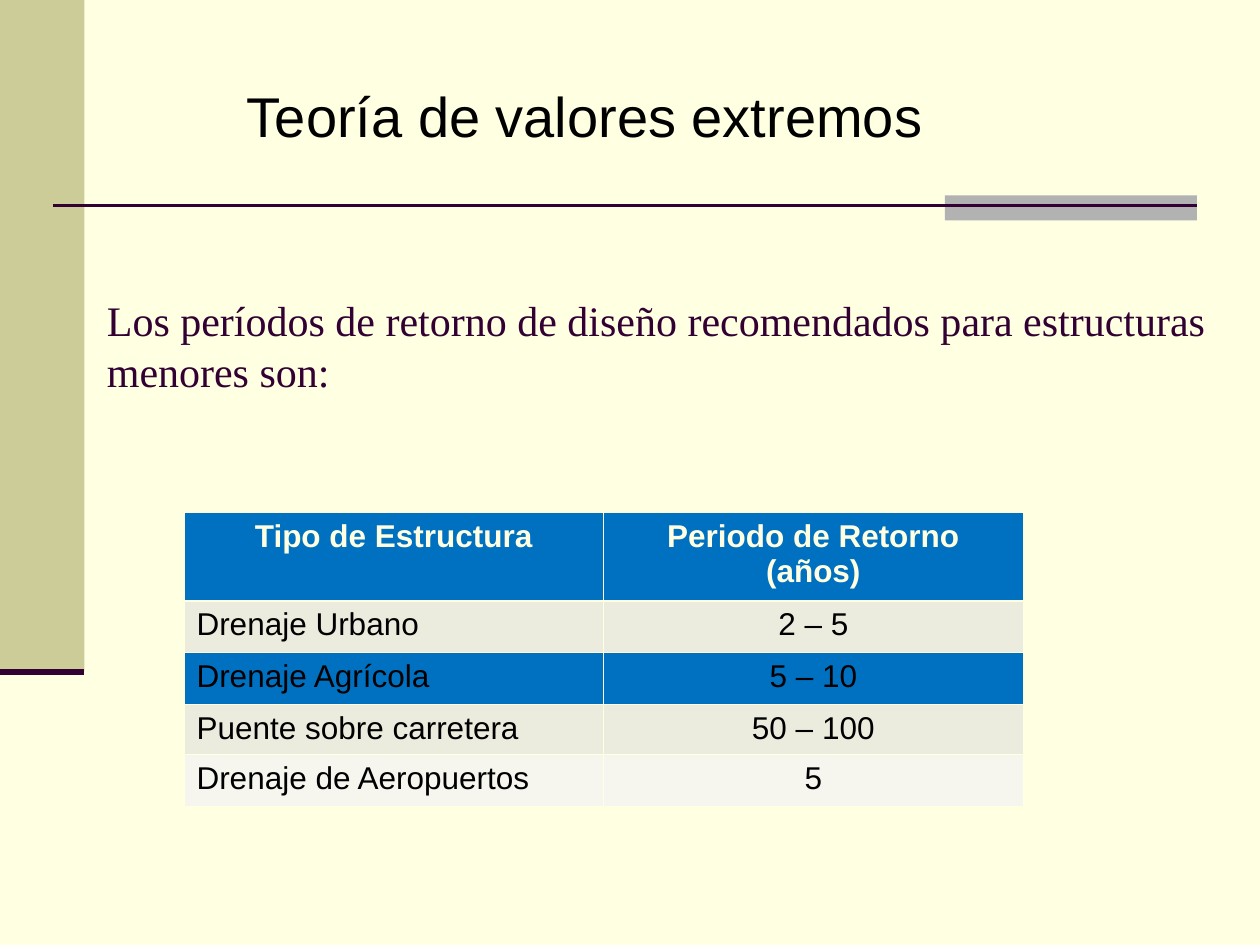
from lxml.etree import SubElement as Sub
from pptx import Presentation
from pptx.dml.color import RGBColor as RGB
from pptx.enum.shapes import MSO_CONNECTOR as Conn, MSO_SHAPE as Shape
from pptx.enum.text import MSO_ANCHOR as Anchor, MSO_AUTO_SIZE as Auto, PP_ALIGN as Align
from pptx.oxml.ns import qn
from pptx.util import Inches, Pt

HUES = {"cream": "FFFFE1", "olive": "CCCC99", "gray": "B2B2B2", "plum": "330033",
        "black": "000000", "blue": "0070C0", "sand": "ECECDE", "pale": "F6F6EF"}
ROWS = [("Tipo de Estructura", "Periodo de Retorno (años)", "blue", 0.7),
        ("Drenaje Urbano", "2 – 5", "sand", 0.41),
        ("Drenaje Agrícola", "5 – 10", "blue", 0.41),
        ("Puente sobre carretera", "50 – 100", "sand", 0.4),
        ("Drenaje de Aeropuertos", "5", "pale", 0.41)]


def hue(name):
    """Return the named colour."""
    return RGB.from_string(HUES[name])


def paint(fill, name):
    """Make a fill solid in the named colour."""
    fill.solid()
    fill.fore_color.rgb = hue(name)


def write(frame, text, size, color, font="Arial", bold=False, align=Align.LEFT):
    """Put one formatted run in the first paragraph of a frame."""
    para = frame.paragraphs[0]
    para.alignment = align
    run = para.add_run()
    run.text = text
    run.font.size, run.font.name, run.font.bold = Pt(size), font, bold
    run.font.color.rgb = hue(color)


def add_bar(slide, box, color):
    """Add a plain rectangle."""
    bar = slide.shapes.add_shape(Shape.RECTANGLE, *map(Inches, box))
    bar.shadow.inherit = False
    paint(bar.fill, color)
    bar.line.fill.background()


def add_rule(slide, left, right, top, width):
    """Add a level line."""
    ends = map(Inches, (left, top, right, top))
    rule = slide.shapes.add_connector(Conn.STRAIGHT, *ends)
    rule.line.color.rgb = hue("plum")
    rule.line.width = Pt(width)
    Sub(rule._element.spPr, qn("a:effectLst"))


def set_title(slide, text):
    """Place and fill the title."""
    title = slide.shapes.title
    title.left, title.top, title.width, title.height = map(Inches, (1.86, 0.6, 5.73, 0.64))
    frame = title.text_frame
    frame.word_wrap = False
    frame.auto_size = Auto.SHAPE_TO_FIT_TEXT
    frame.vertical_anchor = Anchor.TOP
    write(frame, text, 32, "black")


def add_note(slide, box, text):
    """Add the wrapped lead sentence."""
    frame = slide.shapes.add_textbox(*map(Inches, box)).text_frame
    frame.word_wrap = True
    frame.vertical_anchor = Anchor.MIDDLE
    write(frame, text, 24, "plum", "Times New Roman")


def edge(cell, row):
    """Draw the four cell borders, thicker under the header."""
    props = cell._tc.get_or_add_tcPr()
    thick = {"lnB": 0, "lnT": 1}
    for side in ("lnL", "lnR", "lnT", "lnB"):
        width = 1.47 if thick.get(side) == row else 0.45
        line = Sub(props, qn(f"a:{side}"), w=str(Pt(width)))
        fill = Sub(line, qn("a:solidFill"))
        Sub(fill, qn("a:srgbClr"), val=HUES["cream"])


def add_grid(slide, box):
    """Add the table of return periods."""
    grid = slide.shapes.add_table(len(ROWS), 2, *map(Inches, box)).table
    for row, (kind, years, color, height) in enumerate(ROWS):
        grid.rows[row].height = Inches(height)
        head = row == 0
        for col, text in enumerate((kind, years)):
            cell = grid.cell(row, col)
            edge(cell, row)
            paint(cell.fill, color)
            align = Align.CENTER if head or col else Align.LEFT
            write(cell.text_frame, text, 18, "cream" if head else "black",
                  bold=head, align=align)


def main():
    """Build and save the slide."""
    deck = Presentation()
    deck.slide_width, deck.slide_height = Inches(10), Inches(7.5)
    slide = deck.slides.add_slide(deck.slide_layouts[5])
    paint(slide.background.fill, "cream")
    add_bar(slide, (0, 0, 0.67, 5.33), "olive")
    add_bar(slide, (7.5, 1.55, 2, 0.2), "gray")
    add_rule(slide, 0.42, 9.5, 1.63, 1.5)
    add_rule(slide, 0, 0.67, 5.33, 3.5)
    set_title(slide, "Teoría de valores extremos")
    add_grid(slide, (1.46, 4.07, 6.66, 2.33))
    add_note(slide, (0.75, 2.1, 9.01, 1.28),
             "Los períodos de retorno de diseño recomendados para estructuras menores son:")
    deck.save("out.pptx")


if __name__ == "__main__":
    main()
